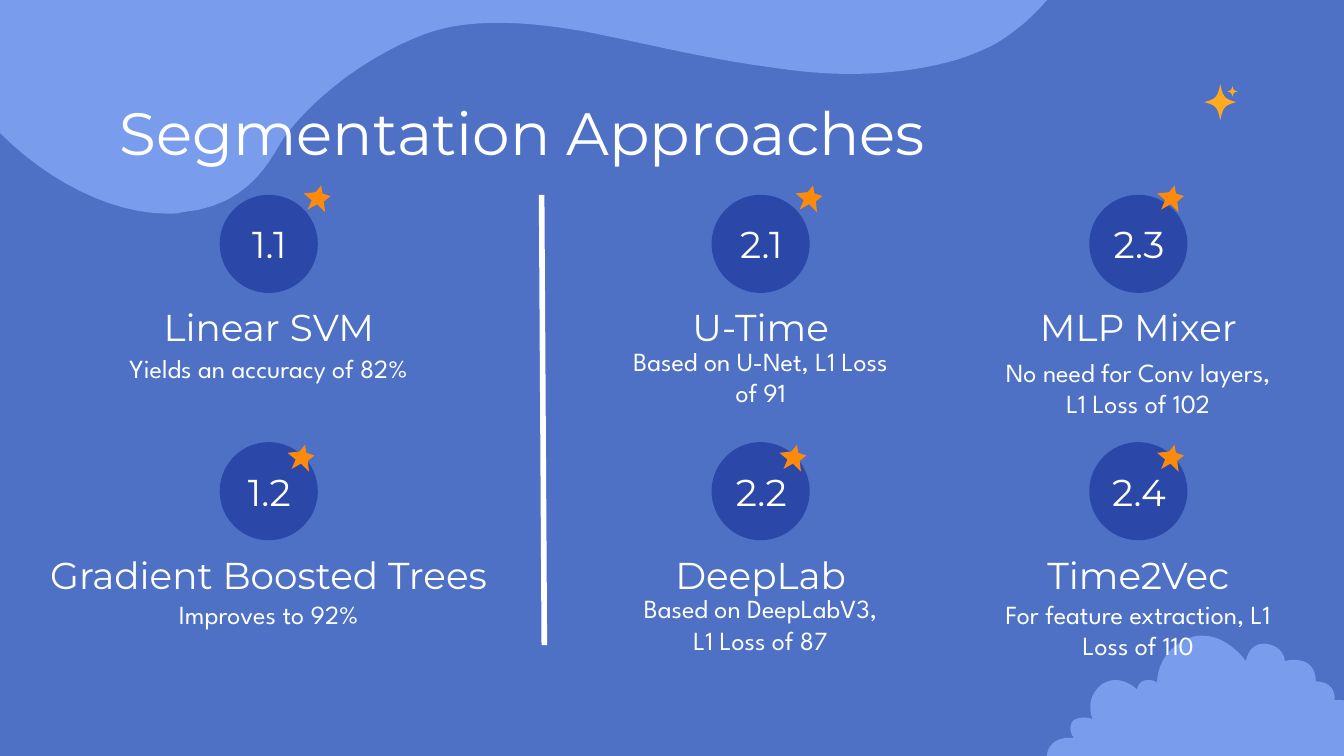
from lxml.etree import SubElement
from pptx import Presentation
from pptx.dml.color import RGBColor
from pptx.enum.shapes import MSO_CONNECTOR, MSO_SHAPE
from pptx.enum.text import MSO_ANCHOR, PP_ALIGN
from pptx.oxml.ns import qn
from pptx.util import Inches, Pt

WIDE, HIGH = 10, 10 * 9 / 16
COLORS = {"back": "4E71C5", "pale": "799CED", "disc": "2B48A8",
          "star": "FD8A0A", "spark": "FFAA20", "text": "FFFFFF"}
HEAD, BODY = "Montserrat", "League Spartan"

TITLE = "Segmentation Approaches"
COLS = [2.0, 5.66, 8.47]    # centres
ROWS = [1.45, 3.29]         # tops of the discs
DISC = 0.73
STAR_DROP = [0.04, 0.13]    # star centre below the disc top, by row

# column, row, number, name, name width, lines, lines width, lines drop, star shift
ITEMS = [
    (0, 0, "1.1", "Linear SVM", 3.08, ["Yields an accuracy of 82%"], 3.08, 1.07, 0.36),
    (0, 1, "1.2", "Gradient Boosted Trees", 3.67, ["Improves to 92%"], 3.08, 1.06, 0.24),
    (1, 0, "2.1", "U-Time", 3.08, ["Based on U-Net, L1 Loss of 91"], 2.24, 1.02, 0.36),
    (1, 1, "2.2", "DeepLab", 3.08, ["Based on DeepLabV3,", "L1 Loss of 87"], 2.24, 1.02, 0.24),
    (2, 0, "2.3", "MLP Mixer", 3.08, ["No need for Conv layers, L1 Loss of 102"], 2.24, 1.1, 0.24),
    (2, 1, "2.4", "Time2Vec", 3.08, ["For feature extraction, L1 Loss of 110"], 2.24, 1.06, 0.24),
]

# Outlines: a start point, then lines (x, y) or cubic curves (two handles, end)
WAVE = [(1.25, 1.59), (1.28, 1.59, 1.32, 1.59, 1.35, 1.58),
        (1.9, 1.53, 2.03, 1.13, 2.13, 1), (2.36, 0.7, 2.76, 0.4, 3.17, 0.25),
        (3.34, 0.19, 3.52, 0.17, 3.71, 0.17), (3.93, 0.17, 4.16, 0.2, 4.38, 0.24),
        (4.83, 0.33, 5.27, 0.44, 5.73, 0.5), (5.92, 0.53, 6.13, 0.55, 6.33, 0.55),
        (6.59, 0.55, 6.85, 0.52, 7.1, 0.45), (7.2, 0.42, 7.3, 0.38, 7.4, 0.33),
        (7.55, 0.24, 7.68, 0.13, 7.79, 0), (0, 0), (0, 0.99),
        (0.35, 1.34, 0.82, 1.59, 1.25, 1.59)]
CLOUD = [(8.95, 4.73), (8.92, 4.73, 8.88, 4.73, 8.85, 4.75),
         (8.6, 4.84, 8.61, 5.08, 8.61, 5.08), (8.58, 5.06, 8.56, 5.06, 8.54, 5.06),
         (8.47, 5.06, 8.46, 5.13, 8.46, 5.13), (8.46, 5.13, 8.39, 5.06, 8.3, 5.06),
         (8.27, 5.06, 8.24, 5.07, 8.2, 5.09), (8.06, 5.2, 8.13, 5.35, 8.13, 5.35),
         (8.13, 5.35, 8.1, 5.34, 8.06, 5.34), (8.03, 5.34, 7.99, 5.35, 7.98, 5.37),
         (7.94, 5.43, 7.99, 5.49, 7.99, 5.49), (7.98, 5.49, 7.97, 5.49, 7.96, 5.49),
         (7.79, 5.49, 7.79, HIGH, 7.79, HIGH), (10.36, HIGH),
         (10.37, 5.46, 10.19, 5.43, 10.19, 5.43), (10.19, 5.24, 10.05, 5.21, 9.97, 5.21),
         (9.95, 5.21, 9.93, 5.21, 9.93, 5.21), (9.94, 5.08, 9.82, 5.07, 9.79, 5.07),
         (9.79, 4.93, 9.69, 4.91, 9.62, 4.91), (9.59, 4.91, 9.56, 4.92, 9.56, 4.92),
         (9.56, 4.92, 9.56, 4.81, 9.42, 4.79), (9.42, 4.79, 9.41, 4.79, 9.4, 4.79),
         (9.29, 4.79, 9.27, 4.92, 9.27, 4.92), (9.27, 4.92, 9.14, 4.73, 8.95, 4.73)]
STAR = [(0.06, 0.09), (0.05, 0.01), (0.1, -0.03), (0.04, -0.05), (0.03, -0.11),
        (-0.01, -0.06), (-0.1, -0.05), (-0.04, 0), (-0.07, 0.07), (0, 0.03)]
SPARK = [(0, -0.5), (-0.08, -0.12, -0.16, -0.08, -0.5, 0),
         (-0.16, 0.08, -0.08, 0.12, 0, 0.5), (0.08, 0.12, 0.16, 0.08, 0.5, 0),
         (0.16, -0.08, 0.08, -0.12, 0, -0.5)]
SPARKS = [(9.08, 0.76, 0.24, 0.27), (9.17, 0.68, 0.08, 0.08)]


def paint(shape, color):
    shape.shadow.inherit = False
    shape.fill.solid()
    shape.fill.fore_color.rgb = RGBColor.from_string(COLORS[color])
    shape.line.fill.background()


def flat(path, steps=12):
    """Turn an outline with cubic curves into a list of points."""
    pts = [path[0]]
    for part in path[1:]:
        if len(part) == 2:
            pts.append(part)
            continue
        knots = [pts[-1], part[:2], part[2:4], part[4:]]
        for i in range(1, steps + 1):
            t = i / steps
            w = [(1 - t) ** 3, 3 * t * (1 - t) ** 2, 3 * t * t * (1 - t), t ** 3]
            pts.append(tuple(sum(a * k[d] for a, k in zip(w, knots)) for d in (0, 1)))
    return pts


def draw(shapes, path, color, x=0, y=0, w=1, h=1):
    pts = [(Inches(x + w * a), Inches(y + h * b)) for a, b in flat(path)]
    pen = shapes.build_freeform(*pts[0])
    pen.add_line_segments(pts[1:], close=True)
    paint(pen.convert_to_shape(), color)


def write(shapes, lines, x, y, w, h, size=20, font=HEAD,
          align=PP_ALIGN.CENTER, anchor=MSO_ANCHOR.MIDDLE):
    frame = shapes.add_textbox(*map(Inches, (x, y, w, h))).text_frame
    frame.word_wrap = True
    frame.vertical_anchor = anchor
    frame.margin_left = frame.margin_right = Inches(0.1)
    frame.margin_top = frame.margin_bottom = Inches(0.1)
    for i, line in enumerate(lines):
        para = frame.paragraphs[0] if i == 0 else frame.add_paragraph()
        para.alignment = align
        run = para.add_run()
        run.text = line
        run.font.size = Pt(size)
        run.font.name = font
        run.font.color.rgb = RGBColor.from_string(COLORS["text"])


def place(shapes, col, row, num, name, wide, lines, span, drop, shift):
    """Put one approach, with its disc and star, in its cell."""
    mid, top = COLS[col], ROWS[row]
    disc = shapes.add_shape(MSO_SHAPE.OVAL, Inches(mid - DISC / 2), Inches(top),
                            Inches(DISC), Inches(DISC))
    paint(disc, "disc")
    write(shapes, [num], mid - 0.32, top + 0.15, 0.65, 0.43)
    write(shapes, [name], mid - wide / 2, top + 0.74, wide, 0.51,
          anchor=MSO_ANCHOR.BOTTOM)
    write(shapes, lines, mid - span / 2, top + drop, span, 0.53,
          size=14, font=BODY, anchor=MSO_ANCHOR.TOP)
    draw(shapes, STAR, "star", mid + shift, top + STAR_DROP[row])


def main():
    deck = Presentation()
    deck.slide_width, deck.slide_height = Inches(WIDE), Inches(HIGH)
    slide = deck.slides.add_slide(deck.slide_layouts[6])
    back = slide.background.fill
    back.solid()
    back.fore_color.rgb = RGBColor.from_string(COLORS["back"])
    shapes = slide.shapes

    draw(shapes, WAVE, "pale")
    draw(shapes, CLOUD, "pale")
    for box in SPARKS:
        draw(shapes, SPARK, "spark", *box)
    write(shapes, [TITLE], 0.79, 0.59, 8.43, 0.78, size=32, align=PP_ALIGN.LEFT)
    for item in ITEMS:
        place(shapes, *item)

    rule = shapes.add_connector(MSO_CONNECTOR.STRAIGHT,
                                *map(Inches, (4.03, ROWS[0], 4.05, 4.8)))
    rule.line.width = Pt(3)
    rule.line.color.rgb = RGBColor.from_string(COLORS["text"])
    SubElement(rule._element.spPr, qn("a:effectLst"))
    deck.save("out.pptx")


if __name__ == "__main__":
    main()
